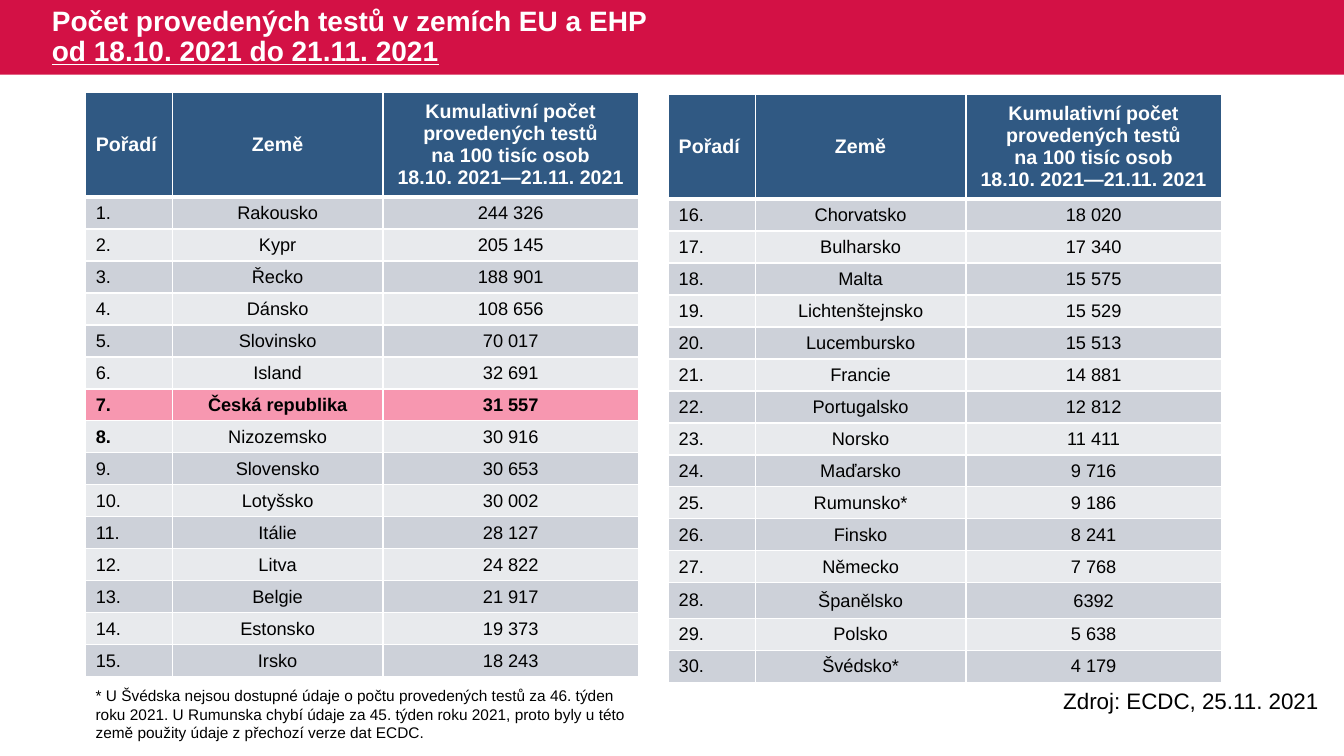
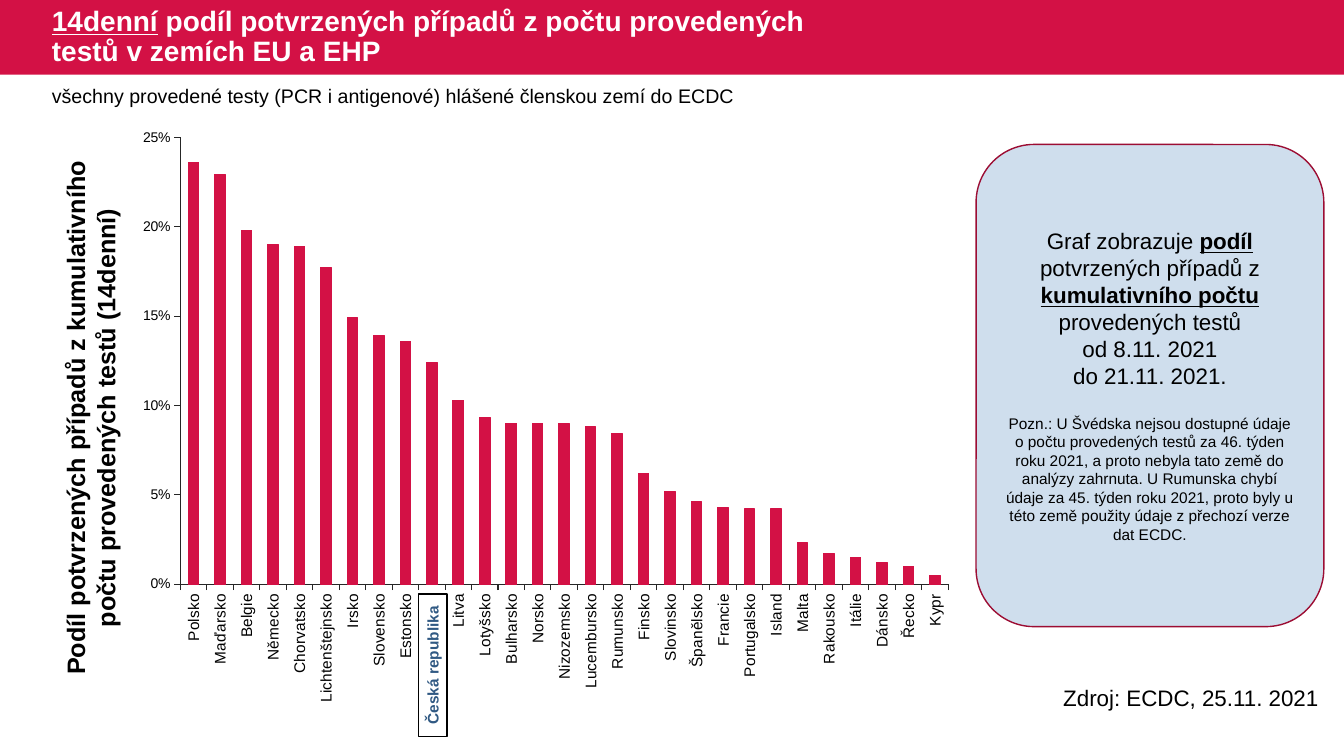
import lxml.etree
import pptx
import pptx.chart.data
import pptx.dml.color
import pptx.enum.chart
import pptx.enum.shapes
import pptx.enum.text
import pptx.oxml.ns
import pptx.util

RGBColor = pptx.dml.color.RGBColor
RED = RGBColor(0xD3, 0x11, 0x45)
DARK_RED = RGBColor(0x9C, 0x0D, 0x33)
PINK = RGBColor(0xF7, 0x97, 0xB0)
BLUE = RGBColor(0x30, 0x59, 0x83)
PALE_BLUE = RGBColor(0xCF, 0xDE, 0xED)
ODD_GREY = RGBColor(0xCD, 0xD1, 0xD9)
EVEN_GREY = RGBColor(0xE8, 0xEA, 0xED)
AXIS_GREY = RGBColor(0x26, 0x26, 0x26)
WHITE = RGBColor(0xFF, 0xFF, 0xFF)
BLACK = RGBColor(0, 0, 0)

FONT = "Arial"
LEFT = pptx.enum.text.PP_ALIGN.LEFT
CENTER = pptx.enum.text.PP_ALIGN.CENTER
MIDDLE = pptx.enum.text.MSO_ANCHOR.MIDDLE
SHAPES = pptx.enum.shapes.MSO_SHAPE
qn = pptx.oxml.ns.qn

# The slide is a grid of 160 columns and 90 rows of square cells.
COLUMNS, ROWS = 160, 90
CELL = pptx.util.Inches(1) / 12

BAND_HEIGHT = 8.9
MARGIN = 5
TABLE_COLUMNS = (10.3, 25.1, 30.4)
HEADER_HEIGHT, ROW_HEIGHT, TALL_ROW_HEIGHT = 11.6, 3.6, 4.2
HIGHLIGHTED = "Česká republika"

HEADINGS = (
    ["Pořadí"],
    ["Země"],
    ["Kumulativní počet provedených testů", "na 100 tisíc osob", "18.10. 2021—21.11. 2021"],
)
TESTS = (
    ("Rakousko", "244 326"), ("Kypr", "205 145"), ("Řecko", "188 901"),
    ("Dánsko", "108 656"), ("Slovinsko", "70 017"), ("Island", "32 691"),
    (HIGHLIGHTED, "31 557"), ("Nizozemsko", "30 916"), ("Slovensko", "30 653"),
    ("Lotyšsko", "30 002"), ("Itálie", "28 127"), ("Litva", "24 822"),
    ("Belgie", "21 917"), ("Estonsko", "19 373"), ("Irsko", "18 243"),
    ("Chorvatsko", "18 020"), ("Bulharsko", "17 340"), ("Malta", "15 575"),
    ("Lichtenštejnsko", "15 529"), ("Lucembursko", "15 513"), ("Francie", "14 881"),
    ("Portugalsko", "12 812"), ("Norsko", "11 411"), ("Maďarsko", "9 716"),
    ("Rumunsko*", "9 186"), ("Finsko", "8 241"), ("Německo", "7 768"),
    ("Španělsko", "6392"), ("Polsko", "5 638"), ("Švédsko*", "4 179"),
)
POSITIVE_SHARES = {
    "Polsko": 0.236, "Maďarsko": 0.229, "Belgie": 0.198, "Německo": 0.19,
    "Chorvatsko": 0.189, "Lichtenštejnsko": 0.177, "Irsko": 0.149,
    "Slovensko": 0.139, "Estonsko": 0.136, HIGHLIGHTED: 0.124, "Litva": 0.103,
    "Lotyšsko": 0.093, "Bulharsko": 0.09, "Norsko": 0.09, "Nizozemsko": 0.09,
    "Lucembursko": 0.088, "Rumunsko": 0.084, "Finsko": 0.062, "Slovinsko": 0.052,
    "Španělsko": 0.046, "Francie": 0.043, "Portugalsko": 0.042, "Island": 0.042,
    "Malta": 0.023, "Rakousko": 0.017, "Itálie": 0.015, "Dánsko": 0.012,
    "Řecko": 0.01, "Kypr": 0.005,
}


def cells(*counts):
    """Turn counts of grid cells into lengths."""
    return [pptx.util.Emu(round(count * CELL)) for count in counts]


def format_font(font, size, color=BLACK, bold=False, underline=False):
    font.name = FONT
    font.size = pptx.util.Pt(size)
    font.color.rgb = color
    font.bold = bold
    font.underline = underline


def write_text(frame, paragraphs, align=LEFT, line_spacing=None, **font_format):
    """Fill a frame; a paragraph is a string or a list of strings and (string, format) runs.

    A run of "\\n" becomes a line break.
    """
    for index, runs in enumerate(paragraphs):
        paragraph = frame.add_paragraph() if index else frame.paragraphs[0]
        paragraph.alignment = align
        paragraph.line_spacing = line_spacing
        for run_source in [runs] if isinstance(runs, str) else runs:
            if run_source == "\n":
                paragraph.add_line_break()
                continue
            text, changes = (run_source, {}) if isinstance(run_source, str) else run_source
            run = paragraph.add_run()
            run.text = text
            format_font(run.font, **{**font_format, **changes})


def add_text(slide, box, paragraphs, anchor=None, rotation=0, **text_format):
    shape = slide.shapes.add_textbox(*cells(*box))
    shape.rotation = rotation
    shape.text_frame.word_wrap = True
    shape.text_frame.vertical_anchor = anchor
    write_text(shape.text_frame, paragraphs, **text_format)


def add_panel(slide, kind, box, fill, line=None, rotation=0):
    shape = slide.shapes.add_shape(kind, *cells(*box))
    shape.shadow.inherit = False
    shape.rotation = rotation
    shape.fill.solid()
    shape.fill.fore_color.rgb = fill
    if line is None:
        shape.line.fill.background()
    else:
        shape.line.color.rgb = line
        shape.line.width = pptx.util.Pt(1)
    shape.text_frame.word_wrap = True
    shape.text_frame.vertical_anchor = MIDDLE
    return shape


def add_base_slide(presentation, title_runs, source_top):
    """Add a slide with the title band and the source line."""
    slide = presentation.slides.add_slide(presentation.slide_layouts[6])
    add_panel(slide, SHAPES.RECTANGLE, (0, 0, COLUMNS, BAND_HEIGHT), RED)
    add_text(slide, (MARGIN, 0, 98, BAND_HEIGHT), [title_runs], anchor=MIDDLE,
             line_spacing=0.9, size=20, color=WHITE, bold=True)
    add_text(slide, (125.4, source_top, 34.6, 4.4), ["Zdroj: ECDC, 25.11. 2021"], size=16)
    return slide


def set_borders(cell, bottom_width):
    properties = cell._tc.get_or_add_tcPr()
    for side, width in (("L", 1), ("R", 1), ("T", 1), ("B", bottom_width)):
        line = lxml.etree.SubElement(properties, qn(f"a:ln{side}"), w=str(pptx.util.Pt(width)))
        fill = lxml.etree.SubElement(line, qn("a:solidFill"))
        lxml.etree.SubElement(fill, qn("a:srgbClr"), val=str(WHITE))


def fill_cell(cell, paragraphs, fill, bottom_width=1, **text_format):
    set_borders(cell, bottom_width)
    cell.fill.solid()
    cell.fill.fore_color.rgb = fill
    cell.vertical_anchor = MIDDLE
    write_text(cell.text_frame, paragraphs, **text_format)


def add_ranking(slide, left, top, first_rank, countries):
    heights = [HEADER_HEIGHT] + [
        TALL_ROW_HEIGHT if name == "Španělsko" else ROW_HEIGHT for name, _ in countries]
    box = cells(left, top, sum(TABLE_COLUMNS), sum(heights))
    table = slide.shapes.add_table(len(heights), len(TABLE_COLUMNS), *box).table
    for column, width in zip(table.columns, cells(*TABLE_COLUMNS)):
        column.width = width
    for row, height in zip(table.rows, cells(*heights)):
        row.height = height
    aligns = (LEFT, CENTER, CENTER)
    for column, (heading, align) in enumerate(zip(HEADINGS, aligns)):
        fill_cell(table.cell(0, column), heading, BLUE, bottom_width=3,
                  align=align, size=14, color=WHITE, bold=True)
    for row, (name, count) in enumerate(countries, start=1):
        rank = first_rank + row - 1
        highlighted = name == HIGHLIGHTED
        fill = PINK if highlighted else ODD_GREY if row % 2 else EVEN_GREY
        for column, (text, align) in enumerate(zip((f"{rank}.", name, count), aligns)):
            cell = table.cell(row, column)
            bold = highlighted or (rank == 8 and column == 0)
            fill_cell(cell, [text], fill, align=align, size=13, bold=bold)
            if column:
                cell.margin_left = cell.margin_right = cell.margin_top = pptx.util.Inches(0.01)
                cell.margin_bottom = 0


def set_plot_area(chart, **shares):
    """Place the inner plot area by shares of the chart: x, y, w, h."""
    plot_area = chart.element.find(".//" + qn("c:plotArea"))
    for old_layout in plot_area.findall(qn("c:layout")):
        plot_area.remove(old_layout)
    layout = lxml.etree.Element(qn("c:layout"))
    plot_area.insert(0, layout)
    manual = lxml.etree.SubElement(layout, qn("c:manualLayout"))
    settings = {"layoutTarget": "inner", "xMode": "edge", "yMode": "edge", **shares}
    for name, value in settings.items():
        lxml.etree.SubElement(manual, qn(f"c:{name}"), val=str(value))


def format_axis(axis, size):
    axis.has_major_gridlines = False
    axis.major_tick_mark = pptx.enum.chart.XL_TICK_MARK.OUTSIDE
    axis.minor_tick_mark = pptx.enum.chart.XL_TICK_MARK.NONE
    axis.format.line.color.rgb = AXIS_GREY
    axis.format.line.width = pptx.util.Pt(0.75)
    format_font(axis.tick_labels.font, size)


def add_share_chart(slide, box):
    data = pptx.chart.data.CategoryChartData(number_format="0%")
    data.categories = list(POSITIVE_SHARES)
    data.add_series("Series 1", list(POSITIVE_SHARES.values()))
    chart = slide.shapes.add_chart(
        pptx.enum.chart.XL_CHART_TYPE.COLUMN_CLUSTERED, *cells(*box), data).chart
    chart.has_title = False
    chart.has_legend = False
    format_font(chart.font, 10)

    plot = chart.plots[0]
    plot.gap_width = 150
    plot.vary_by_categories = False
    series = plot.series[0]
    series.format.fill.solid()
    series.format.fill.fore_color.rgb = RED
    series.format.line.color.rgb = RED
    series.format.line.width = pptx.util.Pt(0.75)

    format_axis(chart.category_axis, 11)
    label_body = chart.element.find(
        ".//" + "/".join(qn(name) for name in ("c:catAx", "c:txPr", "a:bodyPr")))
    label_body.set("rot", "-5400000")
    label_body.set("vert", "horz")
    format_axis(chart.value_axis, 10)
    chart.value_axis.minimum_scale = 0
    chart.value_axis.maximum_scale = 0.25
    chart.value_axis.major_unit = 0.05
    chart.value_axis.tick_labels.number_format = "0%"
    chart.value_axis.tick_labels.number_format_is_linked = False
    set_plot_area(chart, x=0.075, y=0.047, w=0.907, h=0.745)


def add_explanation(slide, box):
    strong = {"bold": True, "underline": True}
    panel = add_panel(slide, SHAPES.ROUNDED_RECTANGLE, box, PALE_BLUE, DARK_RED)
    note = (
        "Pozn.: U Švédska nejsou dostupné údaje o počtu provedených testů za 46. týden "
        "roku 2021, a proto nebyla tato země do analýzy zahrnuta. U Rumunska chybí údaje "
        "za 45. týden roku 2021, proto byly u této země použity údaje z přechozí verze dat ECDC.")
    write_text(panel.text_frame, [
        ["Graf zobrazuje ", ("podíl", strong), " potvrzených případů z ",
         ("kumulativního počtu", strong), " provedených testů"],
        "od 8.11. 2021",
        "do 21.11. 2021.",
        [(note, {"size": 11})],
    ], align=CENTER, size=16)
    panel.text_frame.paragraphs[-1].space_before = pptx.util.Pt(18)


def add_tests_slide(presentation):
    slide = add_base_slide(presentation, [
        "Počet provedených testů v zemích EU a EHP", "\n",
        ("od 18.10. 2021 do 21.11. 2021", {"underline": True})], source_top=81.2)
    half = len(TESTS) // 2
    add_ranking(slide, 10.2, 11.04, 1, TESTS[:half])
    add_ranking(slide, 79.6, 11.28, half + 1, TESTS[half:])
    add_text(slide, (10.2, 81.1, sum(TABLE_COLUMNS), 7.9), [
        "* U Švédska nejsou dostupné údaje o počtu provedených testů za 46. týden roku 2021. "
        "U Rumunska chybí údaje za 45. týden roku 2021, proto byly u této země použity údaje "
        "z přechozí verze dat ECDC."], size=11)


def add_shares_slide(presentation):
    slide = add_base_slide(presentation, [
        ("14denní", {"underline": True}),
        " podíl potvrzených případů z počtu provedených testů v zemích EU a EHP"],
        source_top=80.8)
    add_text(slide, (MARGIN, 9.4, 151, 4.1), [
        "všechny provedené testy (PCR i antigenové) hlášené členskou zemí do ECDC"], size=14)
    add_text(slide, (-21.7, 45.5, 65, 8.5), [
        "Podíl potvrzených případů z kumulativního počtu provedených testů (14denní)"],
        rotation=270, align=CENTER, size=18, bold=True)
    add_share_chart(slide, (13.9, 13, 100.8, 71.4))
    add_explanation(slide, (116.2, 17.2, 41.4, 57.4))
    label = add_panel(slide, SHAPES.RECTANGLE, (43, 77.5, 17, 3.4), WHITE, BLACK, rotation=270)
    write_text(label.text_frame, [HIGHLIGHTED], align=CENTER, size=11, color=BLUE, bold=True)


def main():
    presentation = pptx.Presentation()
    presentation.slide_width, presentation.slide_height = cells(COLUMNS, ROWS)
    add_tests_slide(presentation)
    add_shares_slide(presentation)
    presentation.save("out.pptx")


if __name__ == "__main__":
    main()
